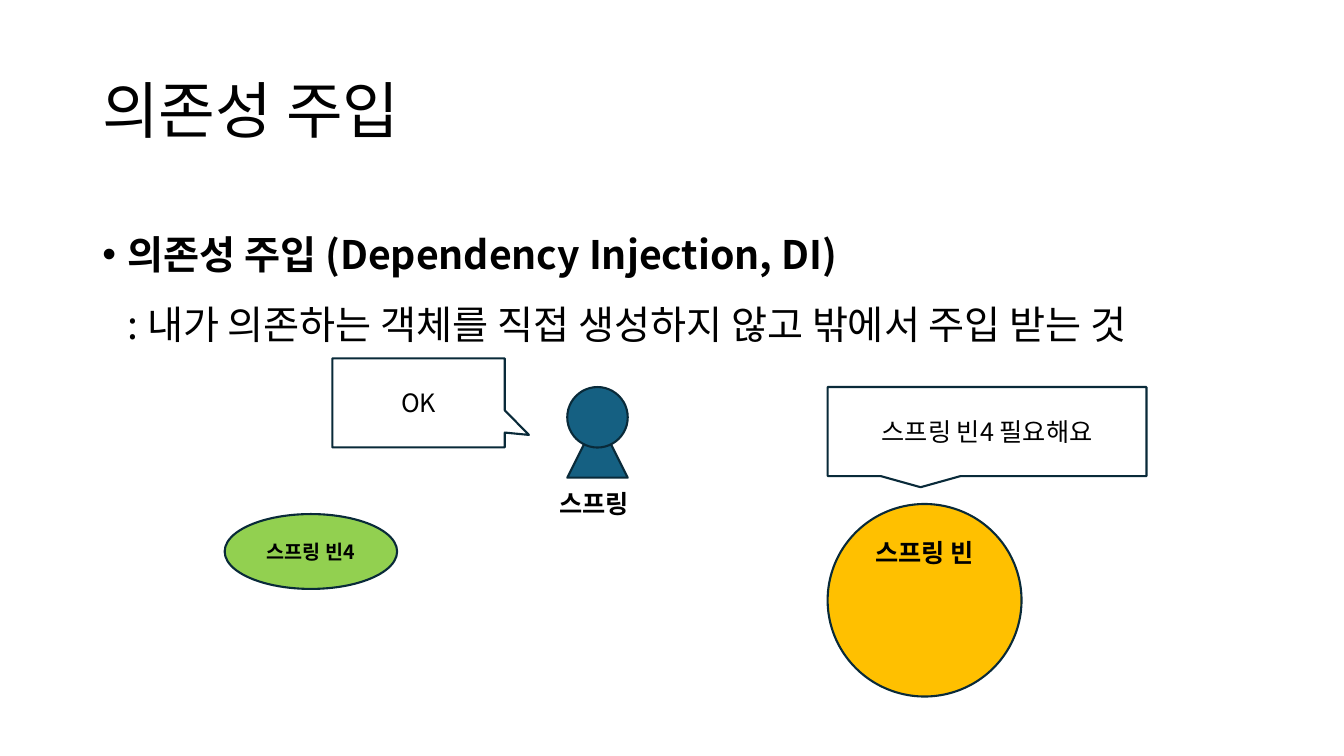
from pptx import Presentation
from pptx.dml.color import RGBColor
from pptx.enum import shapes, text
from pptx.oxml import ns
from pptx.util import Pt
from lxml import etree

FONT = "Noto Sans CJK KR"
COLORS = {"ink": "000000", "paper": "FFFFFF", "outline": "092A39",
          "bean": "FFC000", "small bean": "92D050", "spring": "156082"}
KIND = shapes.MSO_SHAPE
ANCHOR = text.MSO_ANCHOR


def add_span(para, words, size, bold=False):
    span = para.add_run()
    span.text = words
    span.font.color.rgb = RGBColor.from_string(COLORS["ink"])
    for name, value in {"name": FONT, "size": Pt(size), "bold": bold}.items():
        setattr(span.font, name, value)
    east_asian = etree.SubElement(span.font._element, ns.qn("a:ea"))
    east_asian.set("typeface", FONT)


def add_text_box(place, frame_format):
    box = page.shapes.add_textbox(*map(Pt, place))
    for name, value in frame_format.items():
        setattr(box.text_frame, name, value)
    return box.text_frame.paragraphs[0]


deck = Presentation()
deck.slide_width, deck.slide_height = Pt(960), Pt(540)
page = deck.slides.add_slide(deck.slide_layouts[6])

# Title
para = add_text_box((66, 28.8, 828, 104.4),
                    {"word_wrap": True, "vertical_anchor": ANCHOR.MIDDLE})
para.line_spacing = 0.9
add_span(para, "의존성 주입", 44)

# Definition with a bullet
para = add_text_box((66, 144, 870.5, 342.7), {"word_wrap": True})
para.line_spacing = 1.5
para.space_before = Pt(10)
add_span(para, "의존성 주입 (Dependency Injection, DI)", 28, True)
para.add_line_break()
add_span(para, ": 내가 의존하는 객체를 직접 생성하지 않고 밖에서 주입 받는 것", 28)
settings = para._p.get_or_add_pPr()
settings.set("marL", str(Pt(18)))
settings.set("indent", str(Pt(-18)))
bullet_font = etree.SubElement(settings, ns.qn("a:buFont"))
bullet_font.set("typeface", "Arial")
bullet = etree.SubElement(settings, ns.qn("a:buChar"))
bullet.set("char", "•")

# Beans, speech bubbles and the Spring figure, from back to front
figures = [
    (KIND.OVAL, (591.2, 360, 138.5, 137.5), "bean", "스프링 빈", 18, True, ANCHOR.TOP, ()),
    (KIND.RECTANGULAR_CALLOUT, (591.2, 276.5, 227.7, 63.6), "paper",
     "스프링 빈4 필요해요", 18, False, ANCHOR.MIDDLE, ()),
    (KIND.OVAL, (160.5, 367.2, 123.2, 53.5), "small bean",
     "스프링 빈4", 14, True, ANCHOR.MIDDLE, ()),
    (KIND.ISOSCELES_TRIANGLE, (405.2, 298, 43.2, 43.2), "spring",
     "", 18, False, ANCHOR.MIDDLE, ()),
    (KIND.OVAL, (405.2, 276.5, 43.2, 43.2), "spring", "", 18, False, ANCHOR.MIDDLE, ()),
    (KIND.RECTANGULAR_CALLOUT, (237.4, 256, 123.2, 63.6), "paper",
     "OK", 18, False, ANCHOR.MIDDLE, (0.64, 0.36)),
]
for kind, place, color, words, size, bold, anchor, tip in figures:
    figure = page.shapes.add_shape(kind, *map(Pt, place))
    figure.shadow.inherit = False
    figure.fill.solid()
    figure.fill.fore_color.rgb = RGBColor.from_string(COLORS[color])
    figure.line.color.rgb = RGBColor.from_string(COLORS["outline"])
    figure.line.width = Pt(1.5)
    for index, value in enumerate(tip):
        figure.adjustments[index] = value
    if words:
        figure.text_frame.vertical_anchor = anchor
        para = figure.text_frame.paragraphs[0]
        para.alignment = text.PP_ALIGN.CENTER
        add_span(para, words, size, bold)

# Name under the Spring figure
para = add_text_box((392.4, 345, 69, 29), {"word_wrap": False})
add_span(para, "스프링", 18, True)

deck.save("out.pptx")
